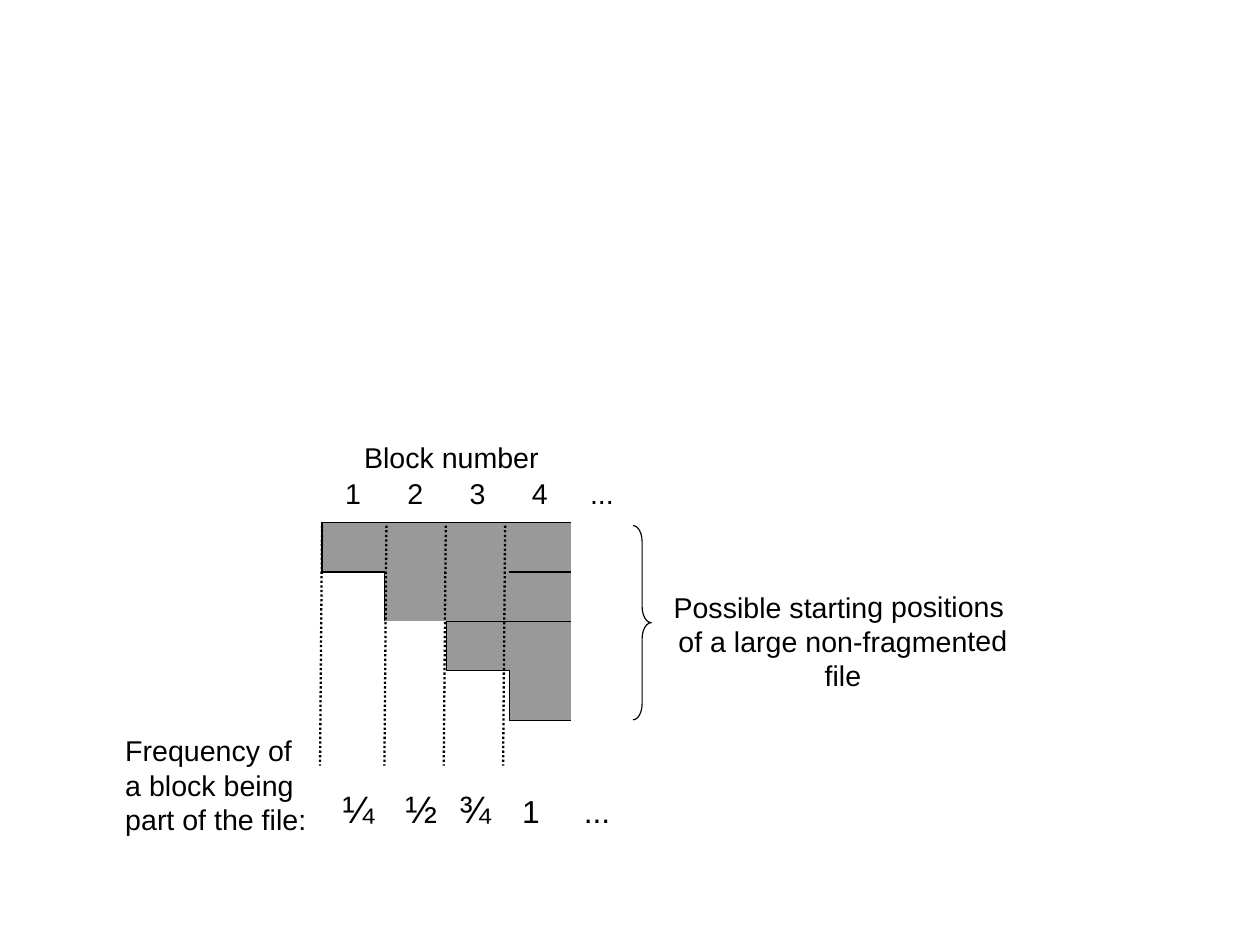
from lxml import etree
from pptx import Presentation
from pptx.dml.color import RGBColor
from pptx.enum.dml import MSO_LINE_DASH_STYLE as Dash
from pptx.enum.shapes import MSO_CONNECTOR as Conn, MSO_SHAPE as Shape
from pptx.enum.text import MSO_ANCHOR as Anchor, PP_ALIGN as Align
from pptx.oxml.ns import qn
from pptx.util import Cm, Inches, Pt

COLORS = {"ink": "000000", "block": "999999", "paper": "FFFFFF"}
THICK, THIN = 1.13, 0.06
HEADERS = ["1", "2", "3", "4", "..."]
ROWS = 5
HORIZONTAL = {(1, c): THICK for c in range(4)} | {
    (2, 0): THICK, (2, 3): THICK, (3, 2): THIN, (3, 3): THIN,
    (4, 2): THICK, (5, 3): THIN}
VERTICAL = {(1, 0): THICK, (2, 1): THIN, (3, 2): THICK, (4, 3): THIN}


class Canvas:
    font = "Arial"

    def __init__(self, prs):
        self.prs = prs
        self.s = prs.slides.add_slide(prs.slide_layouts[6])

    def x(self, share):
        return round(self.prs.slide_width * share / 100)

    def y(self, share):
        return round(self.prs.slide_height * share / 100)

    def box(self, left, top, width, height):
        return self.x(left), self.y(top), self.x(width), self.y(height)

    def color(self, name):
        return RGBColor.from_string(COLORS[name])

    def run(self, p, text, size=18):
        r = p.add_run()
        r.text = text
        r.font.name, r.font.size = self.font, Pt(size)
        r.font.color.rgb = self.color("ink")

    def text(self, at, lines, align=Align.LEFT, wrap=True, rotation=0):
        sp = self.s.shapes.add_textbox(*self.box(*at))
        sp.rotation = rotation
        tf = sp.text_frame
        tf.word_wrap = wrap
        p = tf.paragraphs[0]
        p.alignment = align
        for i, runs in enumerate(lines):
            if i:
                p.add_line_break()
            for text, size in runs:
                self.run(p, text, size)
        return p

    def tabs(self, p, stops):
        tab_list = etree.SubElement(p._p.get_or_add_pPr(), qn("a:tabLst"))
        for stop in stops:
            etree.SubElement(tab_list, qn("a:tab"), pos=str(Inches(stop)), algn="l")

    def border(self, cell, side, width):
        ln = etree.SubElement(cell._tc.get_or_add_tcPr(), qn(f"a:ln{side}"))
        if width is None:
            etree.SubElement(ln, qn("a:noFill"))
            return
        ln.set("w", str(Pt(width)))
        fill = etree.SubElement(ln, qn("a:solidFill"))
        etree.SubElement(fill, qn("a:srgbClr"), val=COLORS["ink"])

    def table(self, at):
        table = self.s.shapes.add_table(ROWS, len(HEADERS), *self.box(*at)).table
        table.first_row = table.horz_banding = False
        for row in range(ROWS):
            for col, header in enumerate(HEADERS):
                cell = table.cell(row, col)
                cell.margin_left = cell.margin_right = Inches(0.04)
                cell.vertical_anchor = Anchor.TOP
                self.border(cell, "L", VERTICAL.get((row, col)))
                self.border(cell, "R", VERTICAL.get((row, col + 1)))
                self.border(cell, "T", HORIZONTAL.get((row, col)))
                self.border(cell, "B", HORIZONTAL.get((row + 1, col)))
                is_block = 1 <= row <= col + 1 <= 4
                cell.fill.solid()
                cell.fill.fore_color.rgb = self.color("block" if is_block else "paper")
                if row == 0:
                    p = cell.text_frame.paragraphs[0]
                    p.alignment = Align.CENTER
                    self.run(p, header)

    def dashed(self, x1, y1, x2, y2):
        line = self.s.shapes.add_connector(
            Conn.STRAIGHT, self.x(x1), self.y(y1), self.x(x2), self.y(y2))
        line.line.color.rgb = self.color("ink")
        line.line.width = Pt(1.45)
        line.line.dash_style = Dash.ROUND_DOT
        etree.SubElement(line._element.spPr, qn("a:effectLst"))

    def brace(self, at):
        sp = self.s.shapes.add_shape(Shape.RIGHT_BRACE, *self.box(*at))
        sp.shadow.inherit = False
        sp.adjustments[0] = 0.88
        sp.fill.background()
        sp.line.color.rgb = self.color("ink")
        sp.line.width = Pt(0)


def main():
    prs = Presentation()
    prs.slide_width, prs.slide_height = Cm(28), Cm(21)
    canvas = Canvas(prs)
    canvas.table((25.56, 50.06, 24.68, 26.12))
    canvas.text((27.2, 45.95, 17.24, 7.86), [[("Block number", 18)]], Align.CENTER)
    canvas.text((52.14, 61.79, 29.49, 11.37),
                [[("Possible starting positions ", 18)],
                 [("of a large non-fragmented file", 18)]],
                Align.CENTER, rotation=359.8)
    canvas.text((9.05, 77, 16.33, 11.37),
                [[("Frequency of a block being part of the file:", 18)]])
    for left in [25.56] + [30.67 + 4.71 * i for i in range(3)]:
        canvas.dashed(left, 55.62, left - 0.16, 81.02)
    canvas.brace((50.24, 55.62, 1.45, 20.56))
    frequencies = canvas.text((26.3, 82.55, 23.14, 5.68),
                              [[("¼\t½\t¾\t", 24), ("1\t...", 20)]], wrap=False)
    canvas.tabs(frequencies, [0.55, 1.02, 1.57, 2.11])
    prs.save("out.pptx")


if __name__ == "__main__":
    main()
